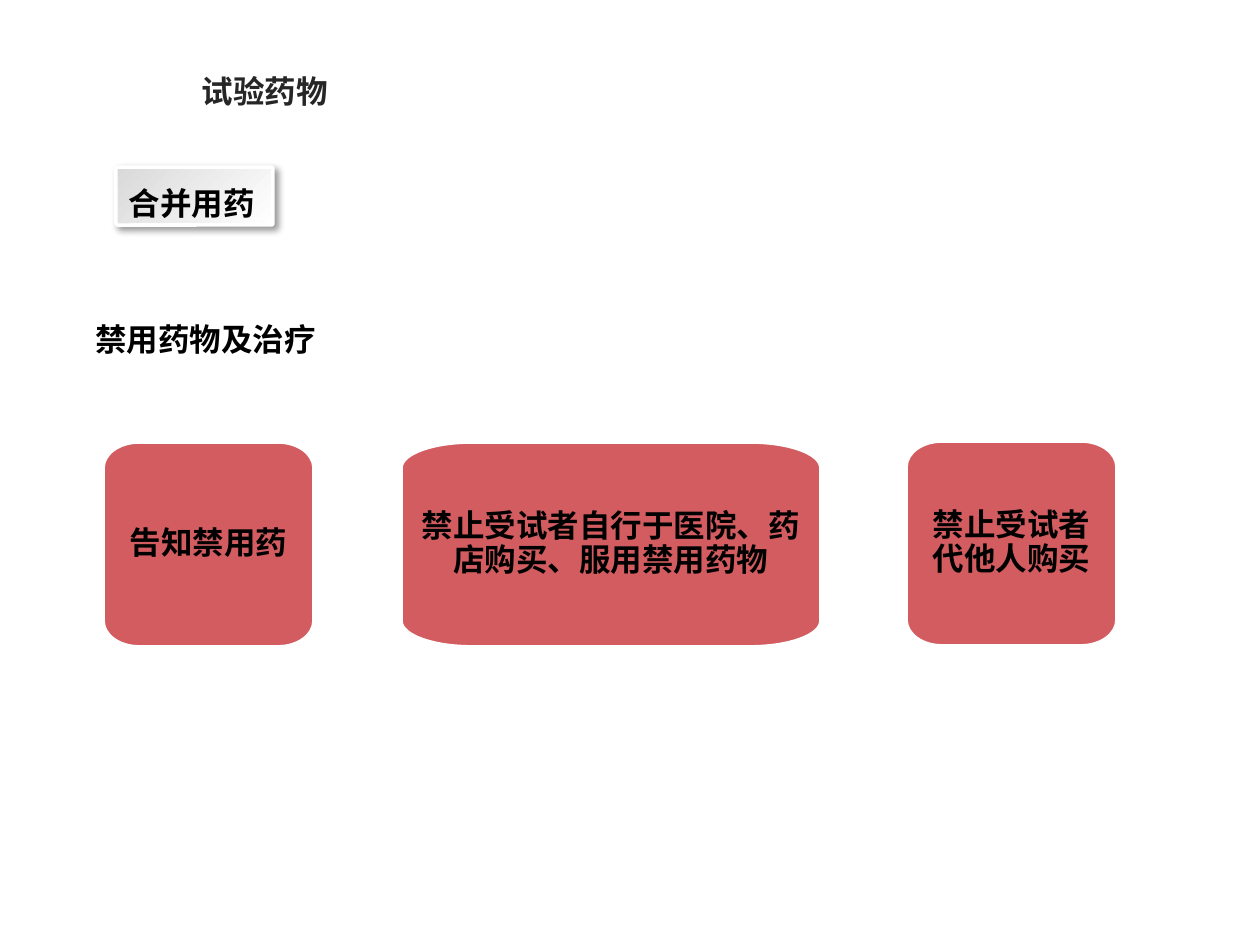
"""Build the slide on trial drugs: combined medication and banned treatments."""
from dataclasses import dataclass

from lxml.etree import SubElement
from pptx import Presentation
from pptx.dml.color import RGBColor
from pptx.enum.shapes import MSO_SHAPE
from pptx.enum.text import MSO_ANCHOR, MSO_AUTO_SIZE, PP_ALIGN
from pptx.oxml.ns import qn
from pptx.util import Pt


@dataclass
class Theme:
    ink: RGBColor = RGBColor(0x00, 0x00, 0x00)
    gray: RGBColor = RGBColor(0x26, 0x26, 0x26)
    pale: RGBColor = RGBColor(0xD9, 0xD9, 0xD9)
    white: RGBColor = RGBColor(0xFF, 0xFF, 0xFF)
    red: RGBColor = RGBColor(0xD2, 0x5C, 0x5F)
    size: Pt = Pt(18)
    han: str = "Noto Sans CJK SC"
    latin: str = "Arial"


theme = Theme()


def px(num):
    return round(num * 914400 / 126)


def write(frame, text, face, color, align, space):
    para = frame.paragraphs[0]
    para.alignment = align
    para.line_spacing = space
    run = para.add_run()
    run.text = text
    font = run.font
    font.name, font.size, font.bold = face, theme.size, True
    font.color.rgb = color
    SubElement(font._element, qn("a:ea")).set("typeface", theme.han)


deck = Presentation()
deck.slide_width, deck.slide_height = px(1260), px(945)
slide = deck.slides.add_slide(deck.slide_layouts[5])
shapes = slide.shapes

title = shapes.title
title.left, title.top, title.width, title.height = px(189), px(66), px(152), px(50)
frame = title.text_frame
frame.word_wrap = False
frame.auto_size = MSO_AUTO_SIZE.SHAPE_TO_FIT_TEXT
frame.vertical_anchor = MSO_ANCHOR.TOP
write(frame, "试验药物", theme.han, theme.gray, PP_ALIGN.LEFT, 1.0)

head = shapes.add_textbox(px(83), px(295), px(1121), px(63))
frame = head.text_frame
frame.word_wrap = True
frame.auto_size = MSO_AUTO_SIZE.SHAPE_TO_FIT_TEXT
write(frame, "禁用药物及治疗", theme.han, theme.ink, PP_ALIGN.JUSTIFY, 1.5)

tag = shapes.add_shape(MSO_SHAPE.ROUNDED_RECTANGLE, px(116), px(167), px(157), px(58))
tag.adjustments[0] = 0.03
tag.fill.gradient()
tag.fill.gradient_angle = 315
for stop, color in zip(tag.fill.gradient_stops, (theme.pale, theme.white)):
    stop.color.rgb = color
tag.line.color.rgb = theme.white
tag.line.width = Pt(2)
tag.shadow.inherit = False
glow = SubElement(tag._element.spPr.find(qn("a:effectLst")), qn("a:outerShdw"))
for key, val in (("blurRad", Pt(4)), ("dist", Pt(3)), ("dir", 45 * 60000)):
    glow.set(key, str(int(val)))
tint = SubElement(glow, qn("a:srgbClr"))
tint.set("val", str(theme.ink))
SubElement(tint, qn("a:alpha")).set("val", "40000")
frame = tag.text_frame
frame.word_wrap = True
frame.vertical_anchor = MSO_ANCHOR.MIDDLE
write(frame, "合并用药", theme.han, theme.ink, PP_ALIGN.LEFT, Pt(30))

rules = (
    ("告知禁用药", 104, 443, 209),
    ("禁止受试者自行于医院、药店购买、服用禁用药物", 402, 443, 418),
    ("禁止受试者代他人购买", 907, 442, 209),
)
high, drop, pull = 203, 25, 0.55
for text, left, top, wide in rules:
    bend, right, base = wide / 6, left + wide, top + high
    turns = (
        ((left, top + drop), (left, top), (left + bend, top)),
        ((right - bend, top), (right, top), (right, top + drop)),
        ((right, base - drop), (right, base), (right - bend, base)),
        ((left + bend, base), (left, base), (left, base - drop)),
    )
    dots = []
    for start, peak, end in turns:
        dots.append(start)
        for side in (start, end):
            dots.append(tuple(a + pull * (b - a) for a, b in zip(side, peak)))
        dots.append(end)
    dots = [(px(x), px(y)) for x, y in dots]
    pen = shapes.build_freeform(*dots[0])
    pen.add_line_segments(dots[1:] + dots[:1], close=True)
    card = pen.convert_to_shape()
    lines = list(card._element.iter(qn("a:lnTo")))
    for spot in range(0, len(lines), 4):
        curve = lines[spot]
        curve.tag = qn("a:cubicBezTo")
        for line in lines[spot + 1:spot + 3]:
            curve.append(line[0])
            line.getparent().remove(line)
    card.fill.solid()
    card.fill.fore_color.rgb = theme.red
    card.line.color.rgb = theme.white
    card.line.width = Pt(1)
    card.shadow.inherit = False
    frame = card.text_frame
    frame.word_wrap = True
    frame.vertical_anchor = MSO_ANCHOR.MIDDLE
    frame.margin_left = frame.margin_right = px(18)
    frame.margin_top = frame.margin_bottom = px(14)
    write(frame, text, theme.latin, theme.ink, PP_ALIGN.CENTER, 0.9)

deck.save("out.pptx")
